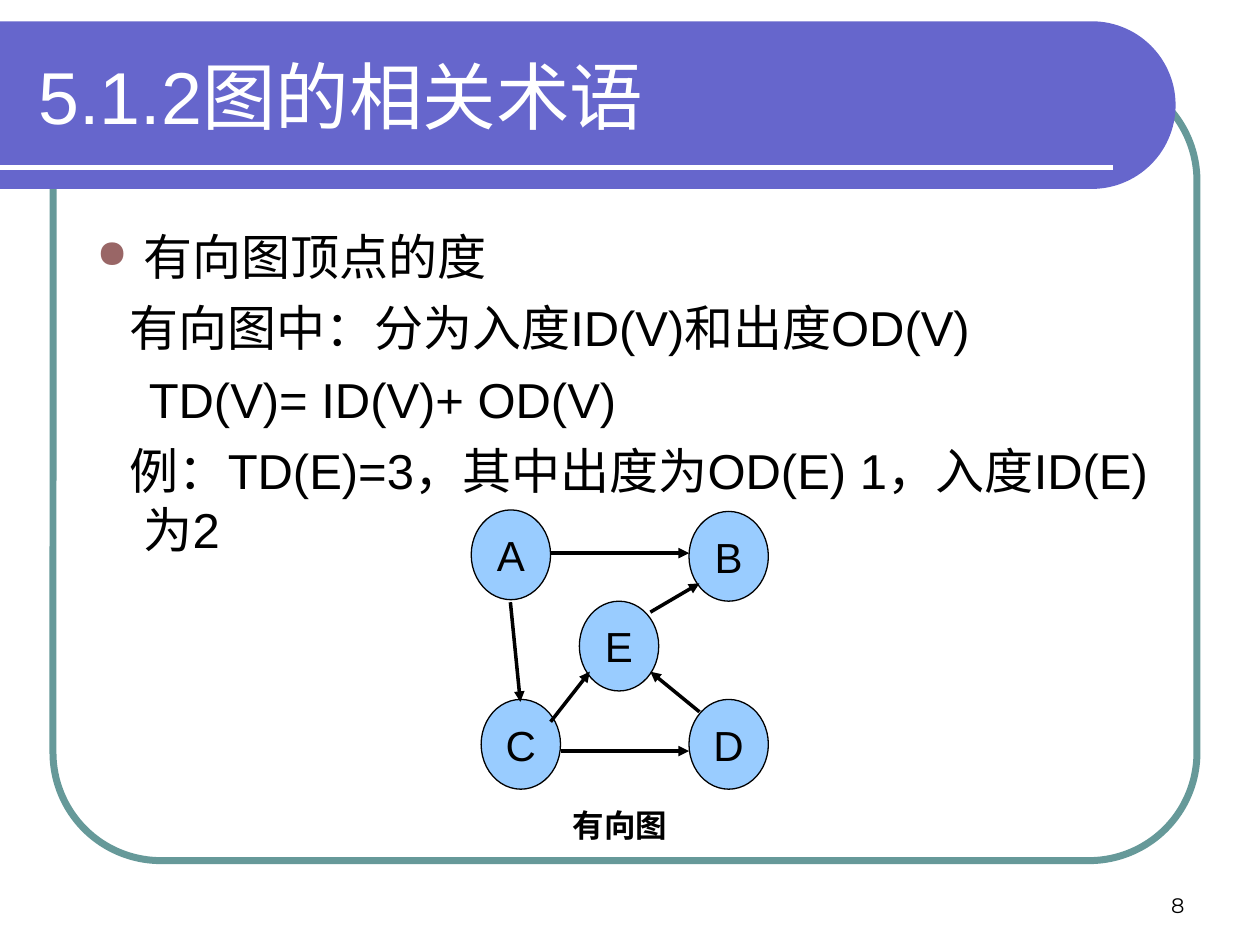
import math
from lxml import etree
from pptx import Presentation
from pptx import util as u
from pptx.dml.color import RGBColor
from pptx.enum import shapes, text
from pptx.oxml.ns import qn

# Content; all lengths in cm
TITLE = "5.1.2图的相关术语"
BODY = [  # text, left margin, first-line indent, bullet
    ("有向图顶点的度", 0.95, -0.95, True),
    ("有向图中：分为入度ID(V)和出度OD(V)", 0.95, -0.28, False),
    ("TD(V)= ID(V)+ OD(V)", 0.95, 0.1, False),
    ("例：TD(E)=3，其中出度为OD(E) 1，入度ID(E)为2", 0.95, -0.28, False),
]
NODES = {"A": (9.5, 10.28), "D": (13.89, 14.1), "C": (9.7, 14.1),
         "B": (13.89, 10.31), "E": (11.68, 12.12)}
NODE_SIZE = (1.6, 1.81)
EDGES = [  # from x, y, to x, y
    (14.1, 14.35, 13.11, 13.54),   # D to E
    (11.1, 11.15, 13.89, 11.15),   # A to B
    (10.29, 12.14, 10.49, 14.15),  # A to C
    (11.3, 15.14, 13.89, 15.14),   # C to D
    (11.1, 14.55, 11.89, 13.54),   # C to E
    (13.11, 12.34, 14.1, 11.76),   # E to B
]
CAPTION = "有向图"
PAGE = "8"

prs = Presentation()
prs.slide_width, prs.slide_height = u.Cm(25.4), u.Cm(19.05)
slide = prs.slides.add_slide(prs.slide_layouts[6])


def cm(*lengths):
    return [u.Cm(n) for n in lengths]


def color(target, value):
    target.rgb = RGBColor.from_string(value)


def style(shape, fill=None, line=None, width=0.75):
    shape.shadow.inherit = False
    if fill:
        shape.fill.solid()
        color(shape.fill.fore_color, fill)
    else:
        shape.fill.background()
    if line:
        color(shape.line.color, line)
        shape.line.width = u.Pt(width)
    else:
        shape.line.fill.background()


def format_runs(paragraph, size, tone="000000", font="Arial", bold=False):
    for run in paragraph.runs:
        run.font.size, run.font.name, run.font.bold = u.Pt(size), font, bold
        color(run.font.color, tone)


def label(box, words, size, align, anchor=text.MSO_ANCHOR.TOP, **look):
    frame = box.text_frame
    frame.text = words
    frame.word_wrap, frame.vertical_anchor = True, anchor
    frame.paragraphs[0].alignment = align
    format_runs(frame.paragraphs[0], size, **look)


def straight(x1, y1, x2, y2, tone, width, arrow=False):
    line = slide.shapes.add_connector(shapes.MSO_CONNECTOR.STRAIGHT, *cm(x1, y1, x2, y2))
    color(line.line.color, tone)
    line.line.width = u.Pt(width)
    if arrow:
        etree.SubElement(line.line._get_or_add_ln(), qn("a:tailEnd"), type="triangle")
    etree.SubElement(line._element.spPr, qn("a:effectLst"))


def set_indent(paragraph, margin, first, bullet):
    props = paragraph._p.get_or_add_pPr()
    props.set("marL", str(u.Cm(margin)))
    props.set("indent", str(u.Cm(first)))
    if bullet:
        tone = etree.SubElement(props, qn("a:buClr"))
        etree.SubElement(tone, qn("a:srgbClr"), val="996666")
        etree.SubElement(props, qn("a:buSzPct"), val="80000")
        etree.SubElement(props, qn("a:buChar"), char="●")
    else:
        etree.SubElement(props, qn("a:buNone"))


# Rounded frame
border = slide.shapes.add_shape(shapes.MSO_SHAPE.ROUNDED_RECTANGLE,
                                *cm(1.07, 1.47, 23.06, 15.88))
border.adjustments[0] = 0.137
style(border, line="669999", width=4)

# Banner with a half-round right end
top, radius, center_x = 0.43, 1.69, 22.01
arc = [(center_x + radius * math.cos(math.radians(a)),
        top + radius + radius * math.sin(math.radians(a))) for a in range(-90, 91, 3)]
outline = slide.shapes.build_freeform(*cm(0, top))
outline.add_line_segments([cm(*point) for point in arc + [(0, top + 2 * radius)]])
style(outline.convert_to_shape(), fill="6666CC")
straight(0, 3.38, 22.43, 3.38, "FFFFFF", 3)

# Title and body
label(slide.shapes.add_textbox(*cm(0.53, 0.64, 22.28, 2.54)), TITLE, 42,
      text.PP_ALIGN.LEFT, text.MSO_ANCHOR.MIDDLE, tone="FFFFFF")
body = slide.shapes.add_textbox(*cm(1.7, 4.45, 22.02, 12.27)).text_frame
body.word_wrap = True
for i, (words, margin, first, bullet) in enumerate(BODY):
    paragraph = body.add_paragraph() if i else body.paragraphs[0]
    paragraph.text = words
    if i:
        paragraph.space_before = u.Pt(7)
    set_indent(paragraph, margin, first, bullet)
    format_runs(paragraph, 28)

# Directed graph
for name, place in NODES.items():
    node = slide.shapes.add_shape(shapes.MSO_SHAPE.OVAL, *cm(*place, *NODE_SIZE))
    style(node, fill="99CCFF", line="000000")
    label(node, name, 24, text.PP_ALIGN.CENTER, text.MSO_ANCHOR.MIDDLE)
for edge in EDGES:
    straight(*edge, "000000", 2, arrow=True)

# Caption and page number
label(slide.shapes.add_textbox(*cm(11.1, 16.13, 2.79, 1.02)), CAPTION, 18,
      text.PP_ALIGN.CENTER, bold=True)
label(slide.shapes.add_textbox(*cm(18.21, 17.35, 5.92, 1.27)), PAGE, 12,
      text.PP_ALIGN.RIGHT, text.MSO_ANCHOR.BOTTOM, font="Montserrat")

prs.save("out.pptx")
